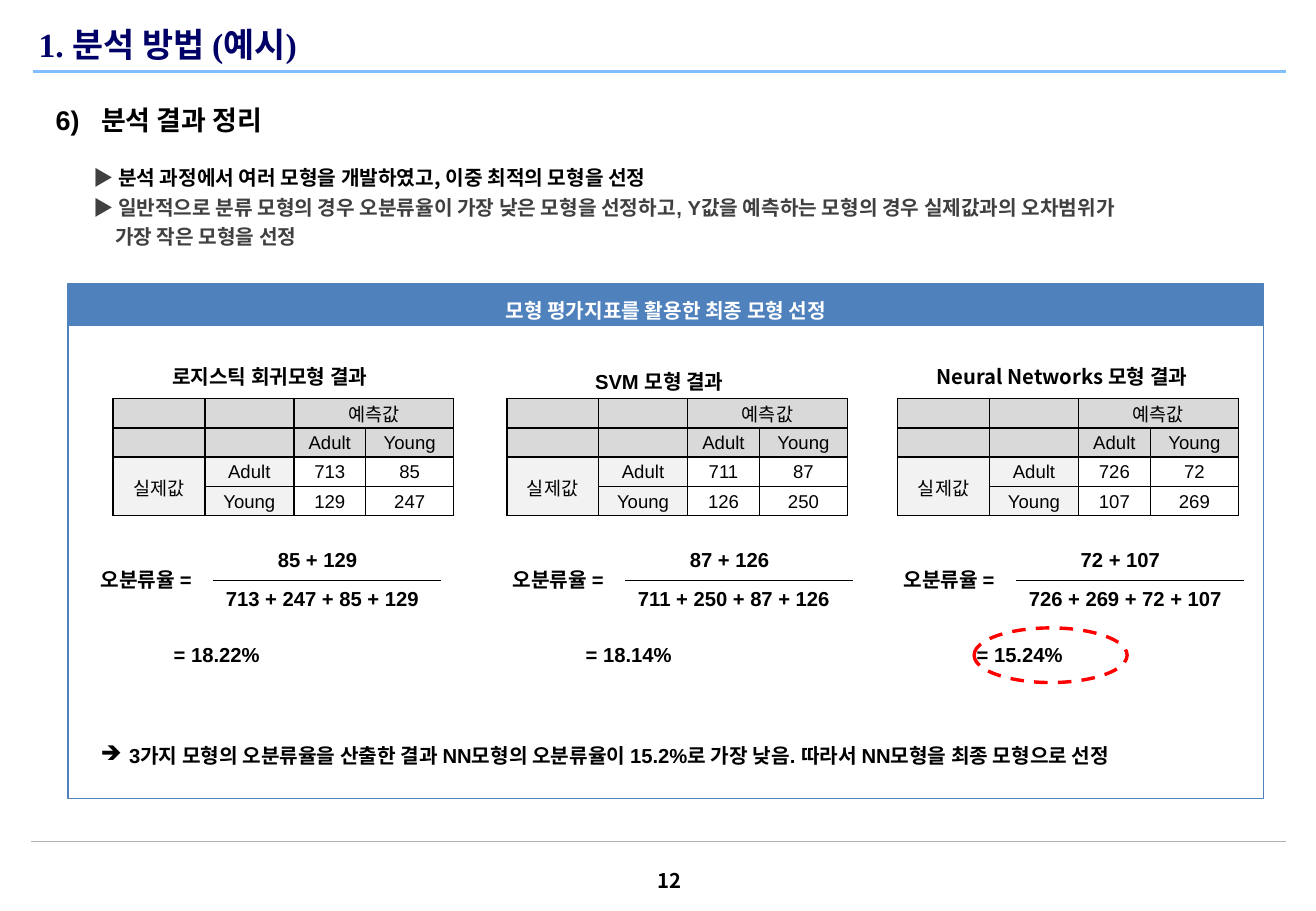
from dataclasses import dataclass
from typing import Optional

from lxml.etree import SubElement
from pptx import Presentation
from pptx.dml.color import RGBColor
from pptx.enum.dml import MSO_LINE
from pptx.enum.shapes import MSO_CONNECTOR, MSO_SHAPE
from pptx.enum.text import MSO_ANCHOR, MSO_AUTO_SIZE, PP_ALIGN
from pptx.oxml.ns import qn
from pptx.util import Pt

BLACK = RGBColor(0x00, 0x00, 0x00)
WHITE = RGBColor(0xFF, 0xFF, 0xFF)
NAVY = RGBColor(0x00, 0x00, 0x66)
CHARCOAL = RGBColor(0x40, 0x40, 0x40)
BLUE = RGBColor(0x4F, 0x81, 0xBD)
SKY = RGBColor(0x7F, 0xBF, 0xFF)
SILVER = RGBColor(0xB2, 0xB2, 0xB2)
HEADER_GRAY = RGBColor(0xD9, 0xD9, 0xD9)
LABEL_GRAY = RGBColor(0xF2, 0xF2, 0xF2)
RED = RGBColor(0xFF, 0x00, 0x00)

SANS = "Arial"
KOREAN = "Noto Sans CJK KR"
SERIF = "Times New Roman"

COLUMN_WIDTHS = (54.4, 52.8, 42.6, 52.2)
ROW_HEIGHT = 17.4


@dataclass(frozen=True)
class Span:
    text: str
    font: str = SANS
    color: RGBColor = BLACK
    size: float = 12
    bold: bool = True


@dataclass(frozen=True)
class Para:
    spans: tuple[Span, ...]
    align: PP_ALIGN = PP_ALIGN.LEFT
    spacing: Optional[float] = None
    margin: float = 0
    indent: float = 0
    bullet: str = ""
    tab: float = 0


@dataclass(frozen=True)
class Model:
    title: tuple[Span, ...]
    title_left: float
    title_top: float
    title_width: float
    table_left: float
    formula_left: float
    adult: tuple[int, int]
    young: tuple[int, int]
    rate: str


MODELS = (
    Model((Span("로지스틱 회귀모형 결과"),), 95, 212.4, 144, 67, 52.6,
          (713, 85), (129, 247), "18.22%"),
    Model((Span("SVM 모형 결과"),), 345.6, 215.5, 98, 300.4, 296.8,
          (711, 87), (126, 250), "18.14%"),
    Model((Span("Neural Networks ", KOREAN), Span("모형 결과")), 548, 212.4, 169.2,
          532.1, 528.5, (726, 72), (107, 269), "15.24%"),
)


def write_para(para, content: Para) -> None:
    para.alignment = content.align
    if content.spacing:
        para.line_spacing = content.spacing
    properties = para._p.get_or_add_pPr()
    if content.margin or content.indent:
        properties.set("marL", str(Pt(content.margin)))
        properties.set("indent", str(Pt(content.indent)))
    if content.bullet:
        SubElement(properties, qn("a:buChar"), char=content.bullet)
    if content.tab:
        tabs = SubElement(properties, qn("a:tabLst"))
        SubElement(tabs, qn("a:tab"), pos=str(Pt(content.tab)), algn="l")
    for span in content.spans:
        run = para.add_run()
        run.text = span.text
        formats = {"name": span.font, "size": Pt(span.size), "bold": span.bold}
        for name, value in formats.items():
            setattr(run.font, name, value)
        run.font.color.rgb = span.color
        SubElement(run._r.get_or_add_rPr(), qn("a:ea"), typeface=KOREAN)


def write_frame(frame, paras: tuple[Para, ...], **formats) -> None:
    for name, value in formats.items():
        setattr(frame, name, value)
    for index, content in enumerate(paras):
        write_para(frame.add_paragraph() if index else frame.paragraphs[0], content)


def add_text(shapes, left: float, top: float, width: float, height: float,
             *paras: Para, wrap: bool = False,
             anchor: MSO_ANCHOR = MSO_ANCHOR.TOP) -> None:
    box = shapes.add_textbox(Pt(left), Pt(top), Pt(width), Pt(height))
    write_frame(box.text_frame, paras, word_wrap=wrap, vertical_anchor=anchor,
                auto_size=MSO_AUTO_SIZE.SHAPE_TO_FIT_TEXT)


def add_rule(shapes, left: float, right: float, top: float,
             color: RGBColor, width: float) -> None:
    rule = shapes.add_connector(MSO_CONNECTOR.STRAIGHT, Pt(left), Pt(top), Pt(right), Pt(top))
    rule.line.color.rgb = color
    rule.line.width = Pt(width)
    SubElement(rule._element.spPr, qn("a:effectLst"))


def add_outline(shapes, kind: MSO_SHAPE, left: float, top: float, width: float,
                height: float, color: RGBColor, line_width: float):
    shape = shapes.add_shape(kind, Pt(left), Pt(top), Pt(width), Pt(height))
    shape.shadow.inherit = False
    shape.fill.background()
    shape.line.color.rgb = color
    shape.line.width = Pt(line_width)
    return shape


def style_cell(cell, text: str, fill: RGBColor) -> None:
    properties = cell._tc.get_or_add_tcPr()
    for side in ("a:lnL", "a:lnR", "a:lnT", "a:lnB"):
        border = SubElement(properties, qn(side), w=str(Pt(1)))
        SubElement(SubElement(border, qn("a:solidFill")), qn("a:srgbClr"), val=str(BLACK))
    cell.fill.solid()
    cell.fill.fore_color.rgb = fill
    formats = {"vertical_anchor": MSO_ANCHOR.MIDDLE, "margin_left": Pt(0.72),
               "margin_right": Pt(0.72), "margin_top": Pt(0.72), "margin_bottom": Pt(0)}
    for name, value in formats.items():
        setattr(cell, name, value)
    para = cell.text_frame.paragraphs[0]
    if text:
        write_para(para, Para((Span(text, size=11, bold=False),), PP_ALIGN.CENTER))
    else:
        SubElement(para._p, qn("a:endParaRPr"), sz="1100")


def add_confusion_table(shapes, model: Model) -> None:
    rows = (("", "", "예측값", ""), ("", "", "Adult", "Young"),
            ("실제값", "Adult", *map(str, model.adult)),
            ("", "Young", *map(str, model.young)))
    table = shapes.add_table(4, 4, Pt(model.table_left), Pt(236.2),
                             Pt(sum(COLUMN_WIDTHS)), Pt(4 * ROW_HEIGHT)).table
    for column, width in zip(table.columns, COLUMN_WIDTHS):
        column.width = Pt(width)
    for row_index, texts in enumerate(rows):
        table.rows[row_index].height = Pt(ROW_HEIGHT)
        for column_index, text in enumerate(texts):
            body_fill = LABEL_GRAY if column_index < 2 else WHITE
            style_cell(table.cell(row_index, column_index), text,
                       HEADER_GRAY if row_index < 2 else body_fill)
    table.cell(0, 2).merge(table.cell(0, 3))
    table.cell(2, 0).merge(table.cell(3, 0))


def add_formula(shapes, model: Model) -> None:
    hit_adult, missed_adult = model.adult
    missed_young, hit_young = model.young
    errors = f"{missed_adult} + {missed_young}"
    left = model.formula_left
    group = shapes.add_group_shape().shapes
    add_text(group, left + 105, 321.1, 62, 21.6, Para((Span(errors),)))
    add_text(group, left + 74.2, 344, 129.4, 21.6,
             Para((Span(f"{hit_adult} + {hit_young} + {errors}"),)))
    add_text(group, left, 332.6, 80.6, 21.6, Para((Span("오분류율 ="),)))
    add_rule(group, left + 73.6, left + 208.8, 344, BLACK, 0.75)
    add_text(group, left, 377.3, 129.6, 21.6,
             Para((Span(f"= {model.rate}"),), margin=43.3), wrap=True)


def main() -> None:
    deck = Presentation()
    deck.slide_width, deck.slide_height = Pt(780), Pt(540)
    page = deck.slides.add_slide(deck.slide_layouts[6])
    shapes = page.shapes

    add_rule(shapes, 19.6, 762.5, 42.5, SKY, 1.75)
    add_text(shapes, 370, 511.2, 54, 21.6,
             Para((Span("12", KOREAN),), PP_ALIGN.CENTER), wrap=True)
    add_rule(shapes, 18.6, 762, 499, SILVER, 0.75)
    add_text(shapes, 15.8, 10.8, 731.5, 31.7,
             Para((Span("1. 분석 방법 (예시)", SERIF, NAVY, 20),)), wrap=True)
    add_text(shapes, 25.9, 57.6, 149, 26.6,
             Para((Span("6)\t분석 결과 정리", size=16),), tab=27))
    add_text(
        shapes, 38.2, 91.4, 737.3, 59.8,
        Para((Span("▶ ", color=CHARCOAL),
              Span("분석 과정에서 여러 모형을 개발하였고, 이중 최적의 모형을 선정", KOREAN)),
             spacing=1.2, margin=10),
        Para((Span("▶ 일반적으로 분류 모형의 경우 오분류율이 가장 낮은 모형을 선정하고, "
                   "Y값을 예측하는 모형의 경우 실제값과의 오차범위가", color=CHARCOAL),),
             spacing=1.2, margin=10),
        Para((Span("가장 작은 모형을 선정", color=CHARCOAL),), spacing=1.2, margin=23),
        wrap=True, anchor=MSO_ANCHOR.MIDDLE)

    add_outline(shapes, MSO_SHAPE.RECTANGLE, 40.5, 168, 708.5, 305.3, BLUE, 1)
    banner = add_outline(shapes, MSO_SHAPE.RECTANGLE, 40.5, 168, 708.5, 25.2, BLUE, 1)
    banner.fill.solid()
    banner.fill.fore_color.rgb = BLUE
    banner.line.fill.background()
    write_frame(banner.text_frame,
                (Para((Span("모형 평가지표를 활용한 최종 모형 선정", color=WHITE),),
                      PP_ALIGN.CENTER, 1.5),),
                word_wrap=False, vertical_anchor=MSO_ANCHOR.MIDDLE)

    for model in MODELS:
        add_confusion_table(shapes, model)
        add_text(shapes, model.title_left, model.title_top, model.title_width, 21.6,
                 Para(model.title))
        add_formula(shapes, model)

    highlight = add_outline(shapes, MSO_SHAPE.OVAL, 577.4, 372.2, 90.7, 32.4, RED, 2)
    highlight.line.dash_style = MSO_LINE.DASH
    add_text(shapes, 52.6, 437, 685.4, 21.6,
             Para((Span("3가지 모형의 오분류율을 산출한 결과 NN모형의 오분류율이 15.2%로 가장 낮음. "
                        "따라서 NN모형을 최종 모형으로 선정"),),
                  margin=16.8, indent=-16.8, bullet="➔"))
    deck.save("out.pptx")


if __name__ == "__main__":
    main()
